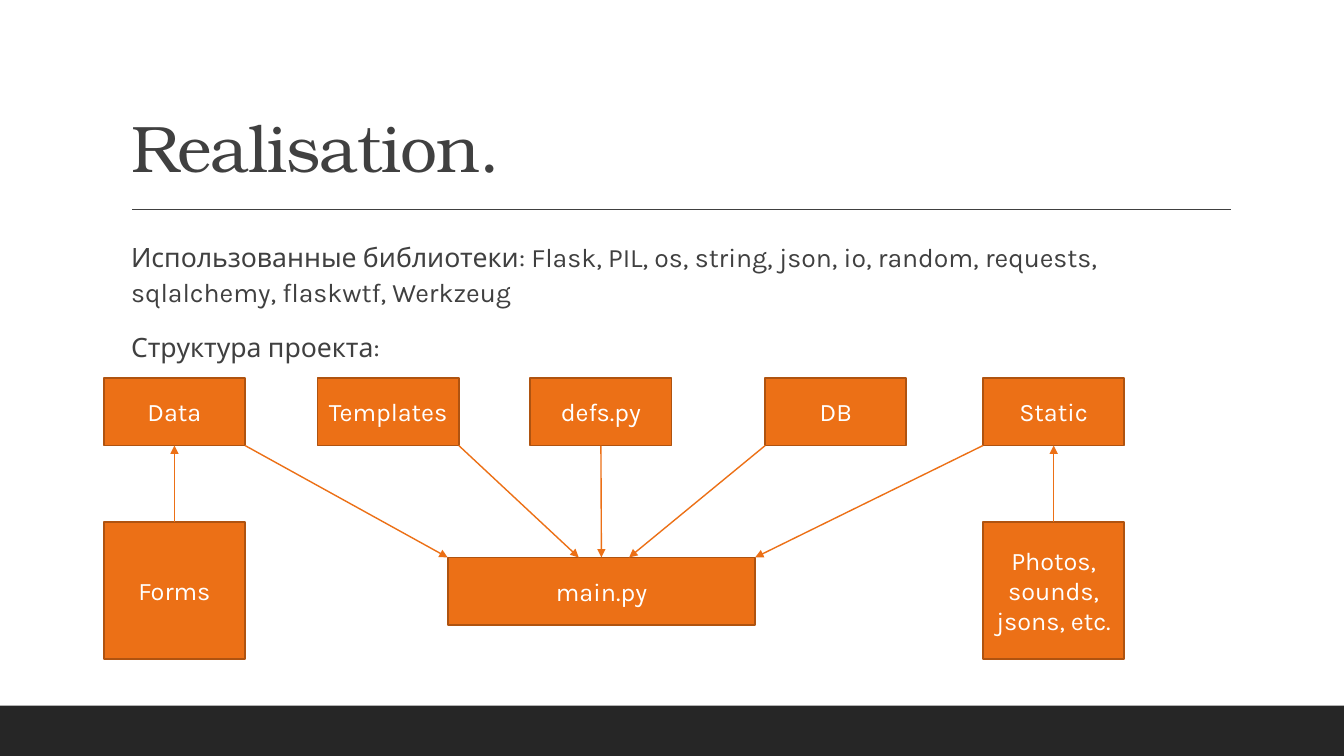
from pptx import Presentation
from pptx.dml.color import RGBColor
from pptx.enum.shapes import MSO_CONNECTOR as Connector, MSO_SHAPE as Shape
from pptx.enum.text import MSO_ANCHOR as Anchor, MSO_AUTO_SIZE as AutoSize, PP_ALIGN as Align
from pptx.oxml.ns import qn
from pptx.util import Inches, Pt
from lxml import etree

ORANGE, GREY = "EC7016", "404040"


def paint(color_format, hex_color):
    color_format.rgb = RGBColor.from_string(hex_color)


def add_line(start, end, color, arrow=True):
    line = page.shapes.add_connector(
        Connector.STRAIGHT, *[Inches(value) for value in (*start, *end)])
    paint(line.line.color, color)
    line.line.width = Pt(1)
    etree.SubElement(line._element.spPr, qn("a:effectLst"))
    if arrow:
        etree.SubElement(line.line._get_or_add_ln(), qn("a:tailEnd"), type="triangle")
    return line


deck = Presentation()
deck.slide_width, deck.slide_height = Inches(13.33), Inches(7.5)
page = deck.slides.add_slide(deck.slide_layouts[1])

# Footer band and title rule
band = page.shapes.add_shape(Shape.RECTANGLE, 0, Inches(7), Inches(13.33), Inches(0.5))
band.shadow.inherit = False
band.fill.solid()
paint(band.fill.fore_color, "262626")
band.line.fill.background()
add_line((1.31, 2.08), (12.21, 2.08), GREY, arrow=False)

# Title
title = page.shapes.title
title.left, title.top, title.width, title.height = [Inches(v) for v in (1.2, 0.31, 11, 1.59)]
title.text_frame.vertical_anchor = Anchor.BOTTOM
title.text_frame.auto_size = AutoSize.NONE
para = title.text_frame.paragraphs[0]
para.alignment = Align.LEFT
para.line_spacing = 0.9
span = para.add_run()
span.text = "Realisation."
span.font.name, span.font.size = "TeX Gyre Bonum", Pt(47)
paint(span.font.color, GREY)
span.font._element.set("spc", "-50")

# Body text
body = page.placeholders[1]
body.left, body.top, body.width, body.height = [Inches(v) for v in (1.2, 2.31, 11, 4.11)]
frame = body.text_frame
frame.auto_size = AutoSize.NONE
frame.margin_left = frame.margin_right = 0
body_lines = [
    "Использованные библиотеки: Flask, PIL, os, string, json, io, random, requests, "
    "sqlalchemy, flaskwtf, Werkzeug",
    "Структура проекта:",
]
for number, text in enumerate(body_lines):
    para = frame.add_paragraph() if number else frame.paragraphs[0]
    properties = para._p.get_or_add_pPr()
    properties.set("marL", str(Inches(0.1)))
    properties.set("indent", "0")
    etree.SubElement(properties, qn("a:buNone"))
    para.line_spacing = 1.1
    para.space_before = Pt(12 if number else 0)
    para.space_after = Pt(2)
    span = para.add_run()
    span.text = text
    span.font.name, span.font.size = "Karla", Pt(19)
    paint(span.font.color, GREY)

# Project structure: label, left, top, width, height
SMALL, TALL = (1.4, 0.67), (1.4, 1.36)
TOP_ROW, BOTTOM_ROW, MAIN_TOP = 3.75, 5.18, 5.53
parts = [
    ("Data", 1.03, TOP_ROW, *SMALL),
    ("Templates", 3.15, TOP_ROW, *SMALL),
    ("defs.py", 5.26, TOP_ROW, *SMALL),
    ("DB", 7.59, TOP_ROW, *SMALL),
    ("Static", 9.75, TOP_ROW, *SMALL),
    ("main.py", 4.44, MAIN_TOP, 3.05, 0.67),
    ("Forms", 1.03, BOTTOM_ROW, *TALL),
    ("Photos, sounds, jsons, etc.", 9.75, BOTTOM_ROW, *TALL),
]
boxes = {}
for label, *place in parts:
    box = page.shapes.add_shape(Shape.RECTANGLE, *[Inches(v) for v in place])
    boxes[label] = box
    box.shadow.inherit = False
    box.fill.solid()
    paint(box.fill.fore_color, ORANGE)
    paint(box.line.color, "AF5310")
    box.line.width = Pt(1.25)
    box.text_frame.word_wrap = True
    box.text_frame.vertical_anchor = Anchor.MIDDLE
    para = box.text_frame.paragraphs[0]
    para.alignment = Align.CENTER
    span = para.add_run()
    span.text = label
    span.font.name, span.font.size = "Karla", Pt(18)
    paint(span.font.color, "FFFFFF")

# Arrows from box corners to main.py
row_bottom = TOP_ROW + SMALL[1]
for start_x, end_x in [(2.43, 4.44), (4.55, 5.74), (7.59, 6.24), (9.75, 7.49)]:
    add_line((start_x, row_bottom), (end_x, MAIN_TOP), ORANGE)

# Arrows joined to the middles of box sides
joins = [
    ("defs.py", 2, "main.py", 0),
    ("Forms", 0, "Data", 2),
    ("Photos, sounds, jsons, etc.", 0, "Static", 2),
]
for source, source_side, target, target_side in joins:
    arrow = add_line((0, 0), (1, 1), ORANGE)
    arrow.begin_connect(boxes[source], source_side)
    arrow.end_connect(boxes[target], target_side)

deck.save("out.pptx")
